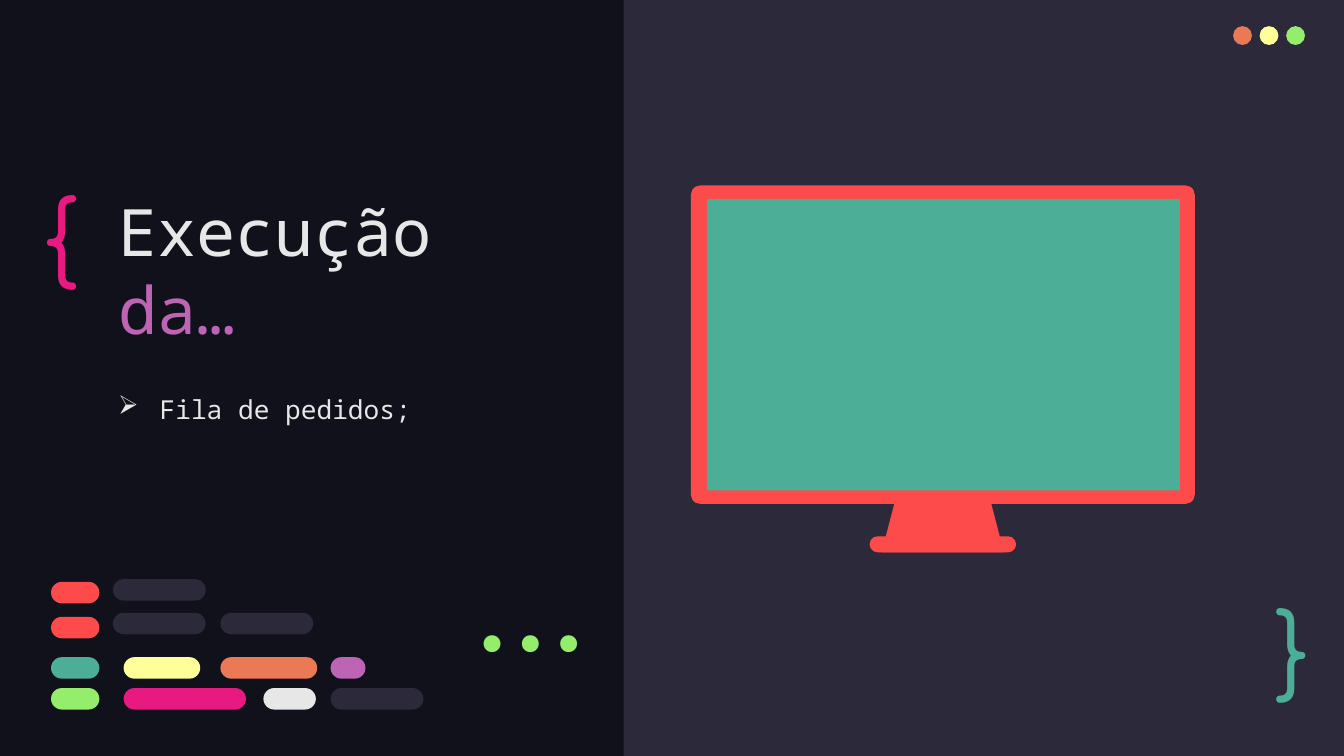
from dataclasses import dataclass
from lxml.etree import SubElement
from pptx import Presentation
from pptx.dml.color import RGBColor
from pptx.enum.shapes import MSO_SHAPE as SHAPE
from pptx.enum.text import MSO_ANCHOR as ANCHOR, PP_ALIGN as ALIGN
from pptx.oxml.ns import qn
from pptx.util import Inches, Pt

COLS, ROWS = 100, 56.25
CELL = Inches(10) / COLS


@dataclass(frozen=True)
class Theme:
    night: str = "10111A"
    slate: str = "2C293A"
    red: str = "FD4A4A"
    teal: str = "4CAE97"
    white: str = "E7E7E7"
    purple: str = "BD64B5"
    orange: str = "EC7955"
    yellow: str = "FFFF99"
    green: str = "94EE6B"
    pink: str = "E81A81"
    mono: str = "Noto Sans Mono"
    brace: str = "Comfortaa"
    code: str = "Fira Code"
    title: int = 35
    body: int = 14
    symbol: int = 50


@dataclass(frozen=True)
class Box:
    x: float
    y: float
    w: float
    h: float

    def inner(self, x, y, w, h):
        return Box(self.x + x, self.y + y, w, h)

    def emu(self):
        return [round(v * CELL) for v in (self.x, self.y, self.w, self.h)]


T = Theme()


def add_shape(shapes, kind, box, color, adj=None):
    s = shapes.add_shape(kind, *box.emu())
    s.shadow.inherit = False
    s.fill.solid()
    s.fill.fore_color.rgb = RGBColor.from_string(color)
    s.line.fill.background()
    if adj is not None:
        s.adjustments[0] = adj
    return s


def add_text(shapes, box, runs, font, size, anchor=ANCHOR.TOP, align=ALIGN.LEFT):
    s = shapes.add_textbox(*box.emu())
    tf = s.text_frame
    tf.word_wrap = True
    tf.vertical_anchor = anchor
    tf.margin_left = tf.margin_right = tf.margin_top = tf.margin_bottom = Inches(0.1)
    p = tf.paragraphs[0]
    p.alignment = align
    for text, color in runs:
        r = p.add_run()
        r.text = text
        r.font.name = font
        r.font.size = Pt(size)
        r.font.color.rgb = RGBColor.from_string(color)
    return p


def add_bullet(p, char, color, indent):
    pPr = p._p.get_or_add_pPr()
    pPr.set("marL", str(indent))
    pPr.set("indent", str(-indent))
    clr = SubElement(pPr, qn("a:buClr"))
    SubElement(clr, qn("a:srgbClr"), val=color)
    SubElement(pPr, qn("a:buChar"), char=char)


def add_monitor(shapes, box):
    g = shapes.add_group_shape().shapes
    add_shape(g, SHAPE.TRAPEZOID, box.inner(14.2, 23.4, 9.1, 3.9), T.red, 0.26)
    add_shape(g, SHAPE.ROUNDED_RECTANGLE, box.inner(0, 0, box.w, 23.7), T.red, 0.03)
    add_shape(g, SHAPE.RECTANGLE, box.inner(1.2, 1, 35.2, 21.7), T.teal)
    add_shape(g, SHAPE.ROUNDED_RECTANGLE, box.inner(13.3, 26.1, 10.9, 1.2), T.red, 0.5)


def add_heading(shapes, box):
    add_text(shapes, box.inner(0, 0, box.w, 11.6),
             [("Execução ", T.white), ("da…", T.purple)], T.mono, T.title, ANCHOR.BOTTOM)
    p = add_text(shapes, box.inner(0, 12.6, box.w, 15.3),
                 [("Fila de pedidos;", T.white)], T.mono, T.body)
    p.line_spacing = 1.15
    add_bullet(p, "➢", T.white, Inches(0.31))


def add_window_dots(shapes, box):
    g = shapes.add_group_shape().shapes
    step = (box.w - box.h) / 2
    for i, color in enumerate((T.orange, T.yellow, T.green)):
        add_shape(g, SHAPE.OVAL, box.inner(i * step, 0, box.h, box.h), color)


def add_code_bars(shapes, box):
    g = shapes.add_group_shape().shapes
    lines = [
        (0, [(4.6, 6.9, T.slate)]),
        (0.2, [(0, 3.6, T.red)]),
        (2.5, [(4.6, 6.9, T.slate), (12.6, 6.9, T.slate)]),
        (2.8, [(0, 3.6, T.red)]),
        (5.8, [(0, 3.6, T.teal), (5.4, 5.7, T.yellow), (12.6, 7.2, T.orange),
               (20.8, 2.6, T.purple)]),
        (8.1, [(0, 3.6, T.green), (5.4, 9.1, T.pink), (15.8, 3.9, T.white),
               (20.8, 6.9, T.slate)]),
    ]
    for y, bars in lines:
        for x, w, color in bars:
            add_shape(g, SHAPE.ROUNDED_RECTANGLE, box.inner(x, y, w, 1.6), color, 0.5)


def add_symbols(shapes, box):
    add_text(shapes, box.inner(2.2, 12, 7.7, 9.5), [("{", T.pink)], T.brace, T.symbol)
    add_text(shapes, box.inner(93.9, 43.8, 5.7, 8.3), [("}", T.teal)],
             T.brace, T.symbol, ANCHOR.MIDDLE)
    add_text(shapes, box.inner(31.1, 44.9, 15.8, 6), [("...", T.green)],
             T.code, T.symbol, ANCHOR.BOTTOM, ALIGN.RIGHT)


def build_slide(prs, box):
    s = prs.slides.add_slide(prs.slide_layouts[6])
    s.background.fill.solid()
    s.background.fill.fore_color.rgb = RGBColor.from_string(T.night)
    add_shape(s.shapes, SHAPE.RECTANGLE, box.inner(46.4, 0, 53.6, box.h), T.slate)
    add_monitor(s.shapes, box.inner(51.4, 13.8, 37.5, 27.3))
    add_heading(s.shapes, box.inner(7.8, 15.3, 35.5, 27.9))
    add_window_dots(s.shapes, box.inner(91.75, 1.95, 5.35, 1.4))
    add_symbols(s.shapes, box)
    add_code_bars(s.shapes, box.inner(3.8, 43.1, 27.7, 9.7))


def main():
    prs = Presentation()
    prs.slide_width = round(COLS * CELL)
    prs.slide_height = round(ROWS * CELL)
    build_slide(prs, Box(0, 0, COLS, ROWS))
    prs.save("out.pptx")


if __name__ == "__main__":
    main()
